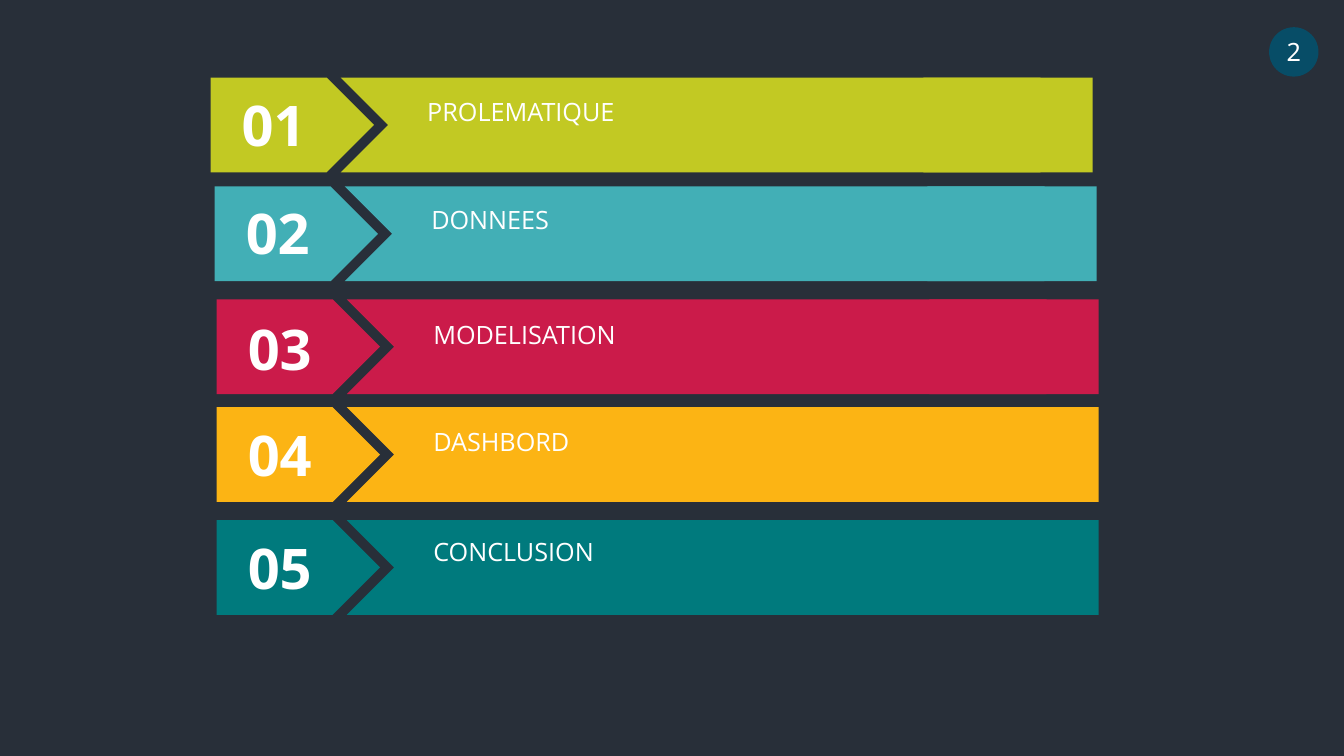
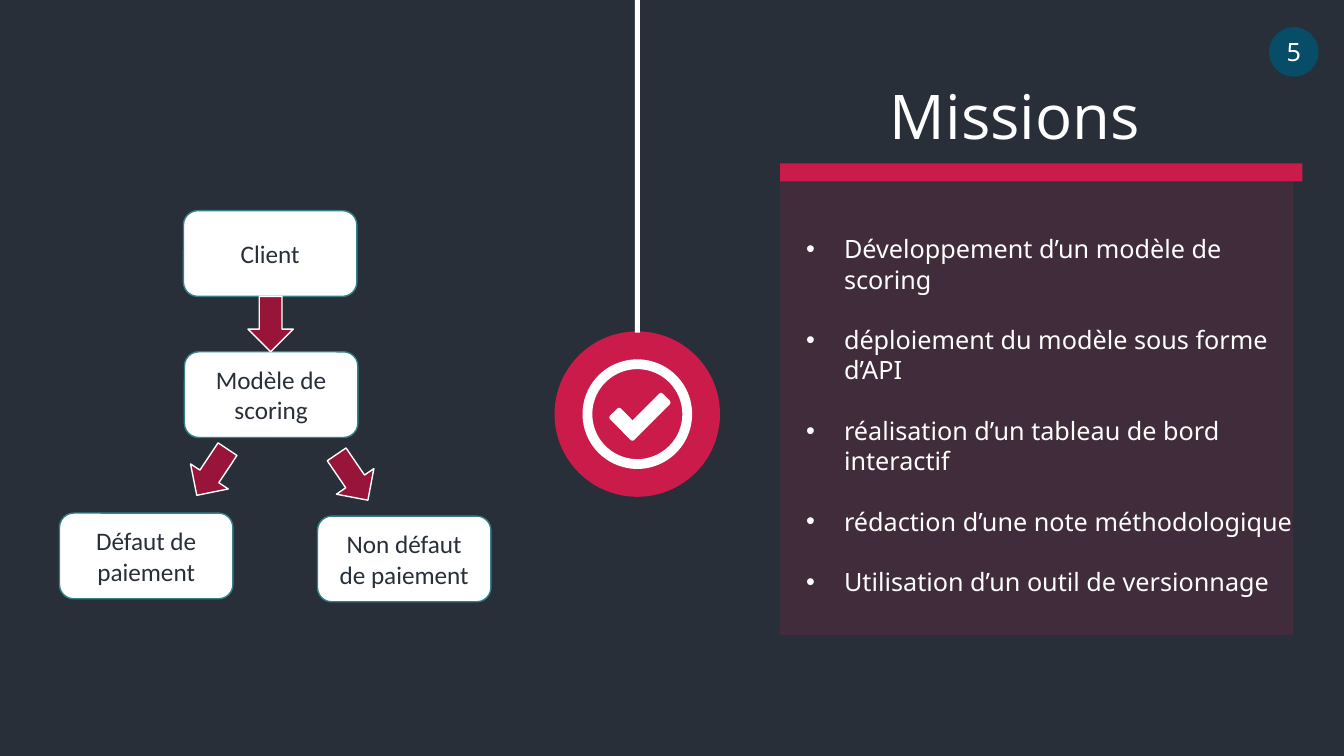
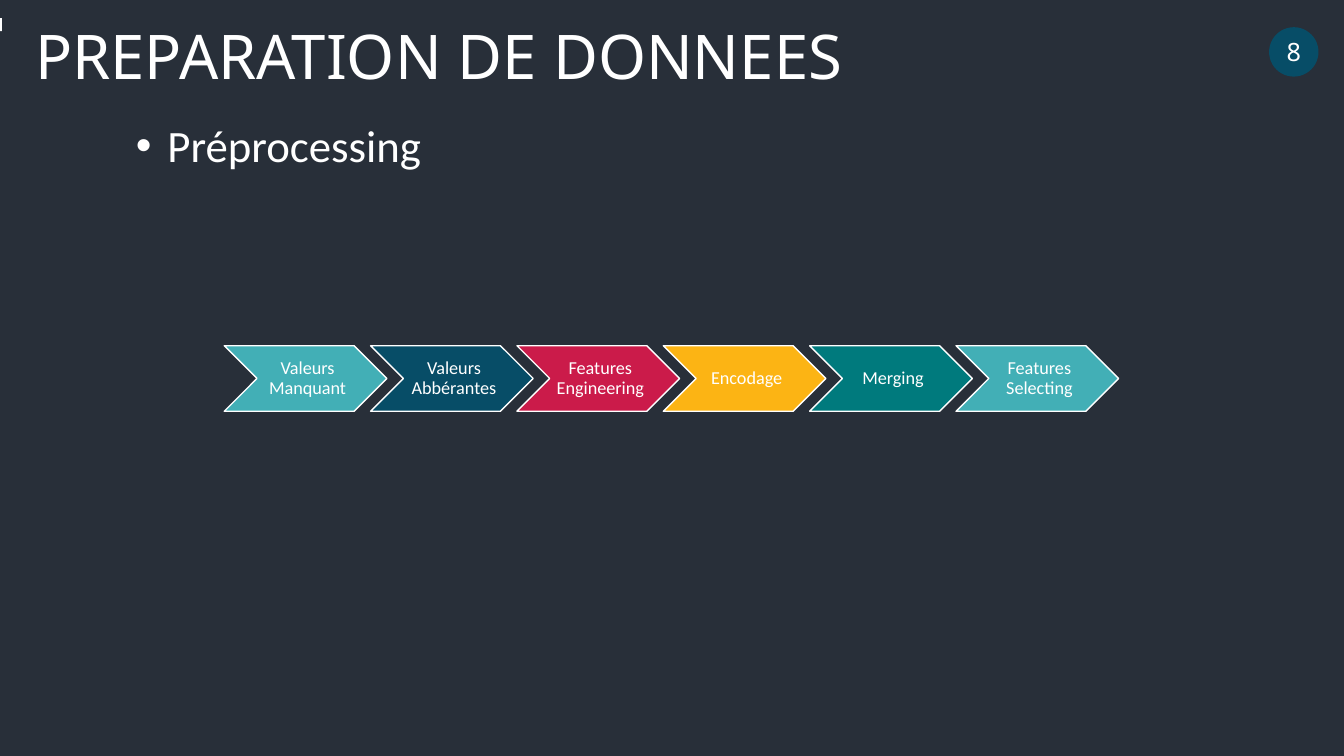
from dataclasses import dataclass
from typing import NamedTuple, Optional

from lxml.etree import SubElement
from pptx import Presentation
from pptx.dml.color import RGBColor
from pptx.enum.shapes import MSO_SHAPE as Preset
from pptx.enum.text import MSO_ANCHOR as Anchor, MSO_AUTO_SIZE as AutoSize, PP_ALIGN as Align
from pptx.oxml.ns import qn
from pptx.util import Emu, Inches, Pt

COLUMNS, ROWS = 160, 90  # square cells, twelve to the inch
CELL = Inches(1) / 12


@dataclass(frozen=True)
class Theme:
    night: str = "282F39"
    white: str = "FFFFFF"
    navy: str = "074D67"
    lime: str = "C2C923"
    aqua: str = "42AFB6"
    crimson: str = "CB1B4A"
    wine: str = "981438"
    amber: str = "FCB414"
    teal: str = "007A7D"
    node_edge: str = "318389"
    heading: str = "Open Sans"
    body: str = "Noto Sans"
    diagram: str = "Calibri"
    title_size: int = 44
    number_size: int = 40
    topic_size: int = 32
    text_size: int = 18
    step_size: int = 13


THEME = Theme()


class Box(NamedTuple):
    """Place and size in grid cells."""
    left: float
    top: float
    width: float
    height: float


class Style(NamedTuple):
    font: str
    size: int
    color: str = THEME.white
    bold: bool = False
    align: Align = Align.CENTER


class Chapter(NamedTuple):
    number: str
    label: str
    color: str
    left: float
    top: float
    number_drop: float = 0.96
    label_drop: float = 1.68


class Node(NamedTuple):
    label: str
    left: float
    top: float


class Arrow(NamedTuple):
    left: float
    top: float
    angle: float = 0


class Step(NamedTuple):
    label: str
    color: str


TITLE = Style(THEME.body, THEME.title_size, align=Align.LEFT)
MISSION_TITLE = Style(THEME.heading, THEME.title_size)
BADGE = Style(THEME.body, THEME.text_size)
CHAPTER_NUMBER = Style(THEME.heading, THEME.number_size, bold=True)
CHAPTER_LABEL = Style(THEME.heading, THEME.text_size, align=Align.JUSTIFY)
MISSION = Style(THEME.body, THEME.text_size, align=Align.LEFT)
NODE = Style(THEME.diagram, THEME.text_size, THEME.night)
TOPIC = Style(THEME.diagram, THEME.topic_size, align=Align.LEFT)
STEP = Style(THEME.diagram, THEME.step_size)

CHAPTERS = (
    Chapter("01", "PROLEMATIQUE", THEME.lime, 25.08, 9.24),
    Chapter("02", "DONNEES", THEME.aqua, 25.56, 22.2, 0.84, 1.56),
    Chapter("03", "MODELISATION", THEME.crimson, 25.8, 35.64, 1.2, 1.8),
    Chapter("04", "DASHBORD", THEME.amber, 25.8, 48.48),
    Chapter("05", "CONCLUSION", THEME.teal, 25.8, 61.92, label_drop=1.32),
)
MISSIONS = (
    "Développement d’un modèle de scoring",
    "déploiement du modèle sous forme d’API",
    "réalisation d’un tableau de bord interactif",
    "rédaction d’une note méthodologique",
    "Utilisation d’un outil de versionnage",
)
NODES = (
    Node("Client", 21.84, 25.08),
    Node("Modèle de scoring", 21.96, 41.88),
    Node("Défaut de paiement", 7.08, 61.08),
    Node("Non défaut de paiement", 37.8, 61.44),
)
ARROWS = (Arrow(29.52, 35.28), Arrow(22.56, 52.92, 33.6), Arrow(39.24, 53.52, 325.7))
STEPS = (
    Step("Valeurs Manquant", THEME.aqua),
    Step("Valeurs Abbérantes", THEME.navy),
    Step("Features Engineering", THEME.crimson),
    Step("Encodage", THEME.amber),
    Step("Merging", THEME.teal),
    Step("Features Selecting", THEME.aqua),
)


def cells(count: float) -> Emu:
    return Emu(round(count * CELL))


def rgb(color: str) -> RGBColor:
    return RGBColor.from_string(color)


def centred(x: float, y: float, size: float) -> Box:
    return Box(x - size / 2, y - size / 2, size, size)


def format_paragraph(paragraph, style: Style) -> None:
    paragraph.alignment = style.align
    for run in paragraph.runs:
        run.font.name = style.font
        run.font.size = Pt(style.size)
        run.font.bold = style.bold
        run.font.color.rgb = rgb(style.color)


def add_bullet(paragraph, indent: float, hang: float) -> None:
    """Indent and hang are in cells."""
    properties = paragraph._p.get_or_add_pPr()
    properties.set("marL", str(cells(indent)))
    properties.set("indent", str(-cells(hang)))
    SubElement(properties, qn("a:buFont"), typeface="Arial")
    SubElement(properties, qn("a:buChar"), char="•")


def draw_shape(slide, preset: Preset, box: Box, fill: Optional[str] = None,
               line: Optional[str] = None, weight: float = 1, angle: float = 0):
    shape = slide.shapes.add_shape(preset, *map(cells, box))
    shape.shadow.inherit = False
    shape.rotation = angle
    if fill:
        shape.fill.solid()
        shape.fill.fore_color.rgb = rgb(fill)
    else:
        shape.fill.background()
    if line:
        shape.line.color.rgb = rgb(line)
        shape.line.width = Pt(weight)
    else:
        shape.line.fill.background()
    return shape


def label_shape(shape, text: str, style: Style) -> None:
    frame = shape.text_frame
    frame.word_wrap = True
    frame.vertical_anchor = Anchor.MIDDLE
    frame.text = text
    format_paragraph(frame.paragraphs[0], style)


def draw_text(slide, box: Box, text: str, style: Style, wrap: bool = True):
    """Each line of the text becomes a paragraph."""
    frame = slide.shapes.add_textbox(*map(cells, box)).text_frame
    frame.word_wrap = wrap
    frame.auto_size = AutoSize.SHAPE_TO_FIT_TEXT
    frame.text = text
    for paragraph in frame.paragraphs:
        format_paragraph(paragraph, style)
    return frame


def new_slide(deck, number: int):
    """Add a dark slide with its number badge."""
    slide = deck.slides.add_slide(deck.slide_layouts[6])
    slide.background.fill.solid()
    slide.background.fill.fore_color.rgb = rgb(THEME.night)
    badge = draw_shape(slide, Preset.OVAL, Box(151.08, 3.24, 5.88, 5.88), THEME.navy)
    label_shape(badge, str(number), BADGE)
    badge.text_frame.word_wrap = False
    return slide


def draw_chapter(slide, chapter: Chapter) -> None:
    left, top, height = chapter.left, chapter.top, 11.28
    for preset, offset, width in (
        (Preset.PENTAGON, 0, 19.44),
        (Preset.CHEVRON, 15.48, 88.92),
        (Preset.RECTANGLE, 84.84, 20.16),
    ):
        draw_shape(slide, preset, Box(left + offset, top, width, height), chapter.color)
    draw_text(slide, Box(left + 0.84, top + chapter.number_drop, 13.32, 9.24),
              chapter.number, CHAPTER_NUMBER)
    draw_text(slide, Box(left + 24.6, top + chapter.label_drop, 60.96, 4.8),
              chapter.label, CHAPTER_LABEL)


def draw_check_medallion(slide) -> None:
    x, y = 75.87, 49.3
    draw_shape(slide, Preset.OVAL, centred(x, y, 19.2), THEME.crimson, THEME.crimson, 3)
    for stroke, angle in ((Box(72.48, 49.56, 3.96, 1.8), 45), (Box(73.68, 48.72, 6.6, 1.8), 135)):
        draw_shape(slide, Preset.ROUNDED_RECTANGLE, stroke, THEME.white, angle=angle)
    draw_shape(slide, Preset.OVAL, centred(x, y, 11.88), line=THEME.white, weight=7)
    draw_shape(slide, Preset.RECTANGLE, Box(x - 0.3, 0, 0.6, 39.6), THEME.white)


def draw_mission_panel(slide) -> None:
    left = 92.88
    panel = draw_shape(slide, Preset.RECTANGLE, Box(left, 21.12, 61.08, 54.48), THEME.crimson)
    tint = next(panel._element.iter(qn("a:srgbClr")))
    SubElement(tint, qn("a:alpha"), val="15000")
    draw_shape(slide, Preset.RECTANGLE, Box(left, 19.44, 62.16, 2.16), THEME.crimson)
    frame = draw_text(slide, Box(88.8, 27.24, 66.4, 48.48), "\n".join(MISSIONS), MISSION)
    for index, paragraph in enumerate(frame.paragraphs):
        paragraph.level = 1
        if index:
            paragraph.space_before = Pt(21.6)
        add_bullet(paragraph, 10.5, 4.5)
    draw_text(slide, Box(95.64, 8.64, 50.4, 10.08), "Missions", MISSION_TITLE)


def draw_decision_tree(slide) -> None:
    for node in NODES:
        card = draw_shape(slide, Preset.ROUNDED_RECTANGLE, Box(node.left, node.top, 20.64, 10.2),
                          THEME.white, THEME.node_edge)
        label_shape(card, node.label, NODE)
    for arrow in ARROWS:
        draw_shape(slide, Preset.DOWN_ARROW, Box(arrow.left, arrow.top, 5.4, 6.6),
                   THEME.wine, THEME.white, angle=arrow.angle)


def draw_steps(slide) -> None:
    width = 19.36
    pitch = 0.9 * width
    for index, step in enumerate(STEPS):
        chevron = draw_shape(slide, Preset.CHEVRON, Box(26.7 + index * pitch, 41.16, width, 7.8),
                             step.color, THEME.white)
        label_shape(chevron, step.label, STEP)
        frame = chevron.text_frame
        frame.margin_left = Inches(0.06)
        frame.margin_top = frame.margin_right = frame.margin_bottom = Inches(0.02)
        frame.paragraphs[0].line_spacing = 0.9


def build_agenda(deck) -> None:
    slide = new_slide(deck, 2)
    for chapter in CHAPTERS:
        draw_chapter(slide, chapter)


def build_missions(deck) -> None:
    slide = new_slide(deck, 5)
    draw_check_medallion(slide)
    draw_mission_panel(slide)
    draw_decision_tree(slide)


def build_preparation(deck) -> None:
    slide = new_slide(deck, 8)
    draw_text(slide, Box(3, 1.56, 117.96, 10.08), "PREPARATION DE DONNEES", TITLE)
    topic = draw_text(slide, Box(15, 13.44, 36.72, 7.68), "Préprocessing", TOPIC, wrap=False)
    add_bullet(topic.paragraphs[0], 3.75, 3.75)
    draw_shape(slide, Preset.RECTANGLE, Box(0, 2.16, 0.24, 1.56), THEME.white)
    draw_steps(slide)


def main() -> None:
    deck = Presentation()
    deck.slide_width, deck.slide_height = cells(COLUMNS), cells(ROWS)
    build_agenda(deck)
    build_missions(deck)
    build_preparation(deck)
    deck.save("out.pptx")


if __name__ == "__main__":
    main()
